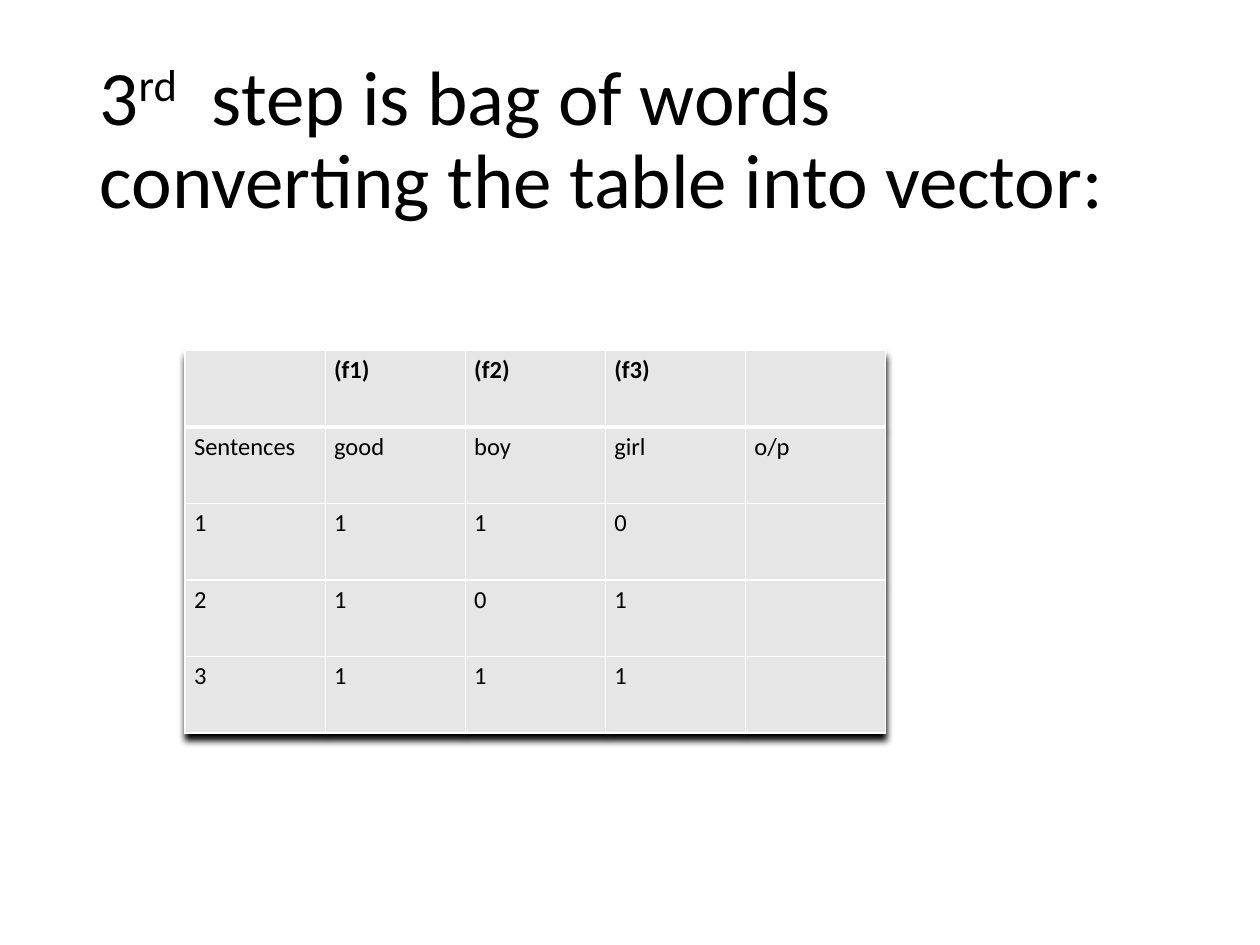
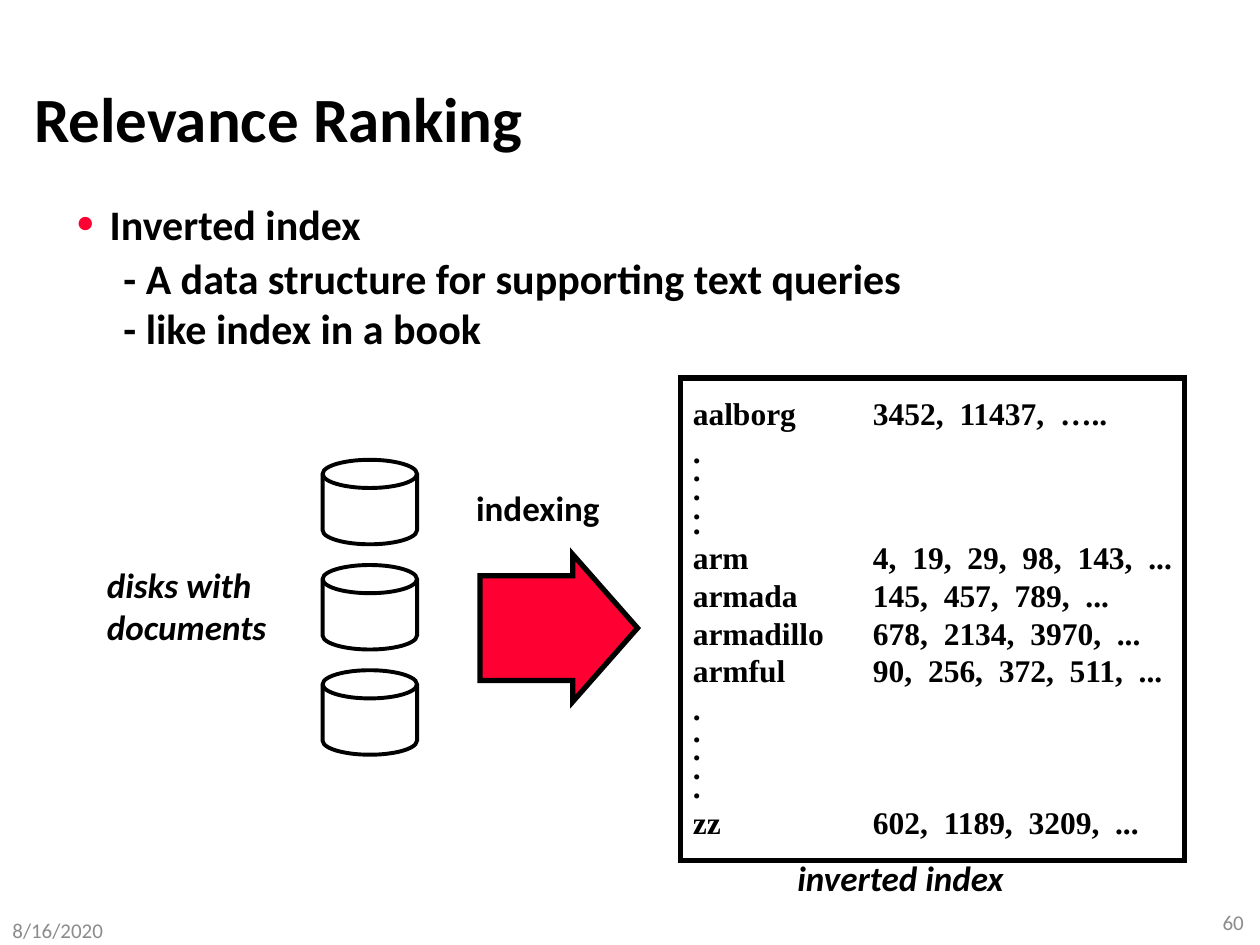
from dataclasses import dataclass

from lxml.etree import SubElement
from pptx import Presentation
from pptx.dml.color import RGBColor
from pptx.enum.shapes import MSO_SHAPE
from pptx.enum.text import MSO_ANCHOR, MSO_AUTO_SIZE, PP_ALIGN
from pptx.oxml import parse_xml
from pptx.oxml.ns import nsdecls, qn
from pptx.util import Inches, Pt


@dataclass(frozen=True)
class Theme:
    ink: str = "000000"
    paper: str = "FFFFFF"
    red: str = "FF0033"
    cell: str = "E7E6E6"
    mute: str = "8C8C8C"
    sans: str = "Calibri"
    serif: str = "Times New Roman"
    title: int = 44
    head: int = 36
    list: int = 24
    label: int = 20
    index: int = 18
    table: int = 14
    foot: int = 12


THEME = Theme()
COLS, ROWS = 40, 30
WIDTH, HEIGHT = Inches(10), Inches(7.5)

WORDS = [
    ["", "(f1)", "(f2)", "(f3)", ""],
    ["Sentences", "good", "boy", "girl", "o/p"],
    ["1", "1", "1", "0", ""],
    ["2", "1", "0", "1", ""],
    ["3", "1", "1", "1", ""],
]

# Index lines: term with its postings, and line spacing
INDEX = [
    ("aalborg\t3452,  11437,  …..", 1),
    *((".", gap) for gap in (1, 0.4, 0.5, 0.5, 0.4)),
    ("arm\t4,  19,  29,  98,  143,  ...", 1),
    ("armada\t145,  457,  789,  ...", 1),
    ("armadillo\t678,  2134,  3970,  ...", 1),
    ("armful\t90,  256,  372,  511,  ...", 1),
    *((".", gap) for gap in (1, 0.5, 0.5, 0.5, 0.5)),
    ("zz\t602,  1189,  3209,  ...", 1),
]


def grid(x, y, w, h):
    """Turn grid columns and rows into slide lengths."""
    col, row = WIDTH / COLS, HEIGHT / ROWS
    return int(x * col), int(y * row), int(w * col), int(h * row)


def style(para, size, bold=False, italic=False, color=THEME.ink, face=THEME.sans):
    font = para.font
    font.name, font.size = face, Pt(size)
    font.bold, font.italic = bold, italic
    font.color.rgb = RGBColor.from_string(color)


def move(holder, area, anchor):
    """Place a placeholder and give back its text frame."""
    holder.left, holder.top, holder.width, holder.height = grid(*area)
    frame = holder.text_frame
    frame.auto_size = MSO_AUTO_SIZE.NONE
    frame.vertical_anchor = anchor
    return frame


def title(slide, area, size, bold=False):
    para = move(slide.shapes.title, area, MSO_ANCHOR.MIDDLE).paragraphs[0]
    para.alignment = PP_ALIGN.LEFT
    style(para, size, bold)
    return para


def label(slide, area, lines, size, wrap=False, anchor=MSO_ANCHOR.TOP, **look):
    frame = slide.shapes.add_textbox(*grid(*area)).text_frame
    frame.word_wrap = wrap
    frame.vertical_anchor = anchor
    frame.text = "\n".join(lines)
    for para in frame.paragraphs:
        style(para, size, **look)
    return frame


def shape(slide, kind, area, line, fill=None):
    item = slide.shapes.add_shape(kind, *grid(*area))
    item.shadow.inherit = False
    item.line.width = Pt(line)
    item.line.color.rgb = RGBColor.from_string(THEME.ink)
    # Sharp corners
    SubElement(item.line._get_or_add_ln(), qn("a:miter"), lim="800000")
    if fill:
        item.fill.solid()
        item.fill.fore_color.rgb = RGBColor.from_string(fill)
    else:
        item.fill.background()
    return item


def border(cell, top, base):
    props = cell._tc.get_or_add_tcPr()
    sides = {"lnL": 1, "lnR": 1, "lnT": top, "lnB": base}
    for spot, (side, width) in enumerate(sides.items()):
        props.insert(spot, parse_xml(
            f'<a:{side} {nsdecls("a")} w="{Pt(width)}"><a:solidFill>'
            f'<a:srgbClr val="{THEME.paper}"/></a:solidFill></a:{side}>'))


def table(slide, area, rows):
    grid_table = slide.shapes.add_table(len(rows), len(rows[0]), *grid(*area)).table
    for r, row in enumerate(rows):
        for c, text in enumerate(row):
            cell = grid_table.cell(r, c)
            cell.margin_left = cell.margin_right = Inches(0.07)
            cell.margin_top = cell.margin_bottom = Inches(0.04)
            cell.text = text
            style(cell.text_frame.paragraphs[0], THEME.table, bold=r == 0)
            cell.fill.solid()
            cell.fill.fore_color.rgb = RGBColor.from_string(THEME.cell)
            border(cell, 3 if r == 1 else 1, 3 if r == 0 else 1)
    # Soft shadow below the table
    grid_table._tbl.tblPr.insert(0, parse_xml(
        f'<a:effectLst {nsdecls("a")}><a:outerShdw blurRad="{Pt(4)}" dist="{Pt(4)}" '
        f'dir="5400000" rotWithShape="0"><a:srgbClr val="{THEME.ink}"/>'
        '</a:outerShdw></a:effectLst>'))


def indent(para, left, hang=0, mark=None):
    """Set the indents, with a red bullet or none."""
    props = para._p.get_or_add_pPr()
    props.set("marL", str(Inches(left)))
    props.set("indent", str(-Inches(hang)))
    marks = []
    if mark:
        color = parse_xml(f'<a:buClr {nsdecls("a")}><a:srgbClr val="{THEME.red}"/></a:buClr>')
        marks = [color,
                 parse_xml(f'<a:buSzPct {nsdecls("a")} val="133000"/>'),
                 parse_xml(f'<a:buFont {nsdecls("a")} typeface="{THEME.serif}"/>'),
                 parse_xml(f'<a:buChar {nsdecls("a")} char="{mark}"/>')]
    else:
        marks = [parse_xml(f'<a:buNone {nsdecls("a")}/>')]
    precede(props, marks)


def precede(props, items):
    """Put paragraph items before the run defaults."""
    for item in items:
        props.find(qn("a:defRPr")).addprevious(item)


def bullets(slide, area, head, notes):
    frame = move(slide.placeholders[1], area, MSO_ANCHOR.TOP)
    frame.text = "\n".join([head, *notes])
    for spot, para in enumerate(frame.paragraphs):
        style(para, THEME.list, bold=True)
        para.space_before = Pt(2 if spot == 1 else 0)
        if spot:
            indent(para, 0.38)
        else:
            indent(para, 0.27, 0.27, "•")


def listing(slide, area, lines):
    frame = label(slide, area, [text for text, _ in lines], THEME.index,
                  bold=True, face=THEME.serif)
    for para, (_, gap) in zip(frame.paragraphs, lines):
        para.line_spacing = gap
        stop = parse_xml(f'<a:tabLst {nsdecls("a")}>'
                         f'<a:tab pos="{Inches(1.43)}" algn="l"/></a:tabLst>')
        precede(para._p.pPr, [stop])


def footer(slide, date, number):
    look = dict(wrap=True, anchor=MSO_ANCHOR.MIDDLE, color=THEME.mute)
    label(slide, (0, 29.08, 9, 0.92), [date], THEME.foot, **look)
    frame = label(slide, (30.88, 28.8, 9, 0.92), [number], THEME.foot, **look)
    frame.paragraphs[0].alignment = PP_ALIGN.RIGHT


def bag(deck):
    slide = deck.slides.add_slide(deck.slide_layouts[5])
    para = title(slide, (2.76, 1.6, 34.48, 5.8), THEME.title)
    para.line_spacing = 0.9
    para.add_run().text = "3"
    power = para.add_run()
    power.text = "rd"
    power._r.get_or_add_rPr().set("baseline", "30000")
    para.add_run().text = "  step is bag of words"
    para.add_line_break()
    para.add_run().text = "converting the table into vector:"
    table(slide, (5.88, 11.12, 22.24, 12.16), WORDS)


def ranking(deck):
    slide = deck.slides.add_slide(deck.slide_layouts[1])
    para = title(slide, (0.68, 2.32, 37.68, 2.8), THEME.head, bold=True)
    para.add_run().text = "Relevance Ranking"
    bullets(slide, (2, 6.1, 34.68, 5.4), "Inverted index",
            ["- A data structure for supporting text queries",
             "- like index in a book"])

    # Disks to be indexed
    for step in range(3):
        shape(slide, MSO_SHAPE.FLOWCHART_MAGNETIC_DISK,
              (10.24, 14.6 + 3.34 * step, 3, 2.68), 2.25)
    label(slide, (3, 17.68, 6.96, 3.08), ["disks with", "documents"],
          THEME.label, bold=True, italic=True)

    # Indexing step
    arrow = shape(slide, MSO_SHAPE.RIGHT_ARROW, (15.24, 17.6, 5, 4.68), 3, THEME.red)
    arrow.adjustments[0], arrow.adjustments[1] = 0.71, 0.44
    label(slide, (14.72, 15.24, 5.64, 1.72), ["indexing"], THEME.label, bold=True)

    # Inverted index
    shape(slide, MSO_SHAPE.RECTANGLE, (21.6, 12, 16, 15.32), 3)
    listing(slide, (21.6, 12.32, 16.08, 14.6), INDEX)
    label(slide, (24.92, 27, 8.4, 1.76), ["inverted index"],
          THEME.label, bold=True, italic=True)
    footer(slide, "8/16/2020", "60")


def main():
    deck = Presentation()
    deck.slide_width, deck.slide_height = WIDTH, HEIGHT
    bag(deck)
    ranking(deck)
    deck.save("out.pptx")


if __name__ == "__main__":
    main()
